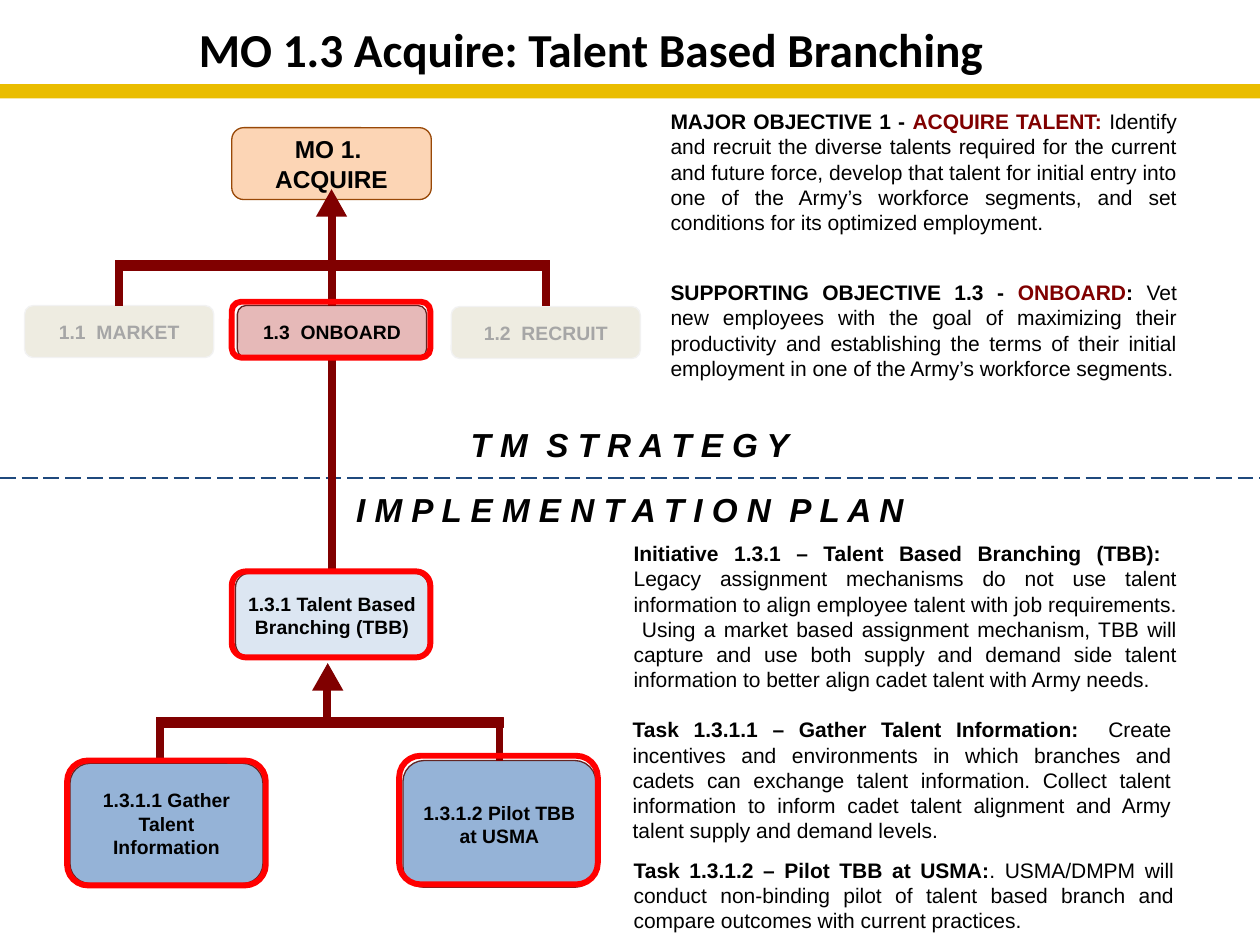
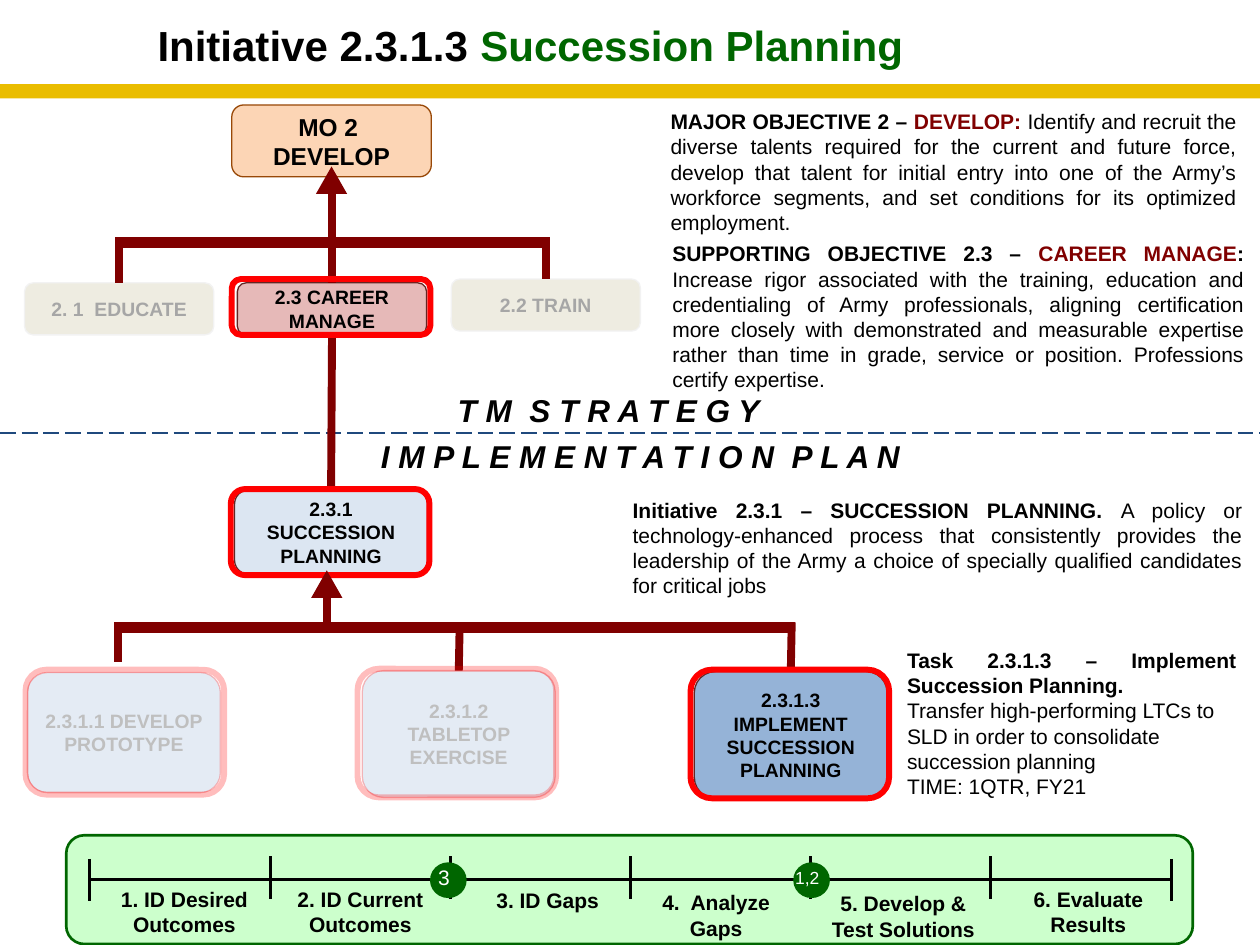
from dataclasses import dataclass
from typing import NamedTuple, Optional

import pptx
import pptx.dml.color
import pptx.enum.dml
import pptx.enum.shapes
import pptx.enum.text
import pptx.oxml.ns
import pptx.util
from lxml import etree

Inches = pptx.util.Inches
Pt = pptx.util.Pt
SHAPE = pptx.enum.shapes.MSO_SHAPE
ALIGN = pptx.enum.text.PP_ALIGN
ANCHOR = pptx.enum.text.MSO_ANCHOR
qn = pptx.oxml.ns.qn


@dataclass(frozen=True)
class Theme:
    font: str = "Arial"
    title_font: str = "Calibri"
    black: str = "000000"
    white: str = "FFFFFF"
    maroon: str = "800000"
    green: str = "006600"
    mint: str = "CCFFCC"
    red: str = "FF0000"
    gold: str = "EABD00"
    navy: str = "1F497D"
    body: float = 16
    box: float = 14.7
    goal: float = 18.6
    small: float = 13.3


T = Theme()


class Rect(NamedTuple):
    x: float
    y: float
    w: float
    h: float


class Run(NamedTuple):
    text: str
    bold: bool = True
    color: str = T.black
    italic: bool = False


class Style(NamedTuple):
    fill: Optional[str]
    line: str
    weight: float = 1
    color: str = T.black
    size: float = T.box
    alpha: int = 100
    inset: float = 0.1


class Node(NamedTuple):
    at: Rect
    text: str
    style: Style
    frame: Rect
    drop: float
    end: Optional[float] = None


class Note(NamedTuple):
    at: Rect
    runs: list


GOAL = Style("FCD5B5", "984807", size=T.goal)
SIDE = Style("EEECE1", "F2F2F2", color="A6A6A6")
FOCUS = Style("E6B9B8", "632523")
INITIATIVE = Style("DCE6F2", "632523", inset=0.07)
TASK = Style("95B3D7", "632523")
FADED = Style("95B3D7", T.red, color="BFBFBF", alpha=25)
FRAME = Style(None, T.red, 4.5)
FADED_FRAME = Style(None, T.red, 4.5, alpha=25)
BAR = Style(T.maroon, T.maroon, 0.5)
TIP = Style(T.maroon, T.maroon, 0)
BAND = Style(T.gold, T.gold, 0)
PANEL = Style(T.mint, T.green, 2)
DOT = Style(T.green, T.green, 2)


def rgb(value: str):
    return pptx.dml.color.RGBColor.from_string(value)


def fade(fill, alpha: int) -> None:
    if alpha < 100:
        for clr in fill._xPr.iter(qn("a:srgbClr")):
            if clr.find(qn("a:alpha")) is None:
                etree.SubElement(clr, qn("a:alpha")).set("val", str(alpha * 1000))


def write(p, runs: list, size: float, font: str = T.font, align=ALIGN.CENTER) -> None:
    p.alignment = align
    for run in runs:
        r = p.add_run()
        r.text = run.text
        fmt = {"name": font, "size": Pt(size), "bold": run.bold, "italic": run.italic}
        for key, value in fmt.items():
            setattr(r.font, key, value)
        r.font.color.rgb = rgb(run.color)


def shape(s, at: Rect, style: Style, kind=SHAPE.ROUNDED_RECTANGLE, text: str = ""):
    sp = s.shapes.add_shape(kind, *map(Inches, at))
    sp.shadow.inherit = False
    if style.fill:
        sp.fill.solid()
        sp.fill.fore_color.rgb = rgb(style.fill)
        fade(sp.fill, style.alpha)
    else:
        sp.fill.background()
    if style.weight:
        sp.line.width = Pt(style.weight)
        sp.line.color.rgb = rgb(style.line)
        fade(sp.line.fill, style.alpha)
    else:
        sp.line.fill.background()
    if text:
        tf = sp.text_frame
        fmt = {"word_wrap": True, "vertical_anchor": ANCHOR.MIDDLE,
               "margin_left": Inches(style.inset), "margin_right": Inches(style.inset)}
        for key, value in fmt.items():
            setattr(tf, key, value)
        write(tf.paragraphs[0], [Run(text, color=style.color)], style.size)
    return sp


def line(s, x1: float, y1: float, x2: float, y2: float, color: str = T.maroon, weight: float = 6):
    cn = s.shapes.add_connector(pptx.enum.shapes.MSO_CONNECTOR.STRAIGHT,
                                *map(Inches, (x1, y1, x2, y2)))
    cn.line.color.rgb = rgb(color)
    cn.line.width = Pt(weight)
    etree.SubElement(cn._element.spPr, qn("a:effectLst"))
    return cn


def textbox(s, at: Rect, paragraphs: list, size: float = T.body, font: str = T.font,
            aligns: tuple = (ALIGN.CENTER,), wrap: bool = True, anchor=ANCHOR.TOP) -> None:
    tf = s.shapes.add_textbox(*map(Inches, at)).text_frame
    for key, value in {"word_wrap": wrap, "vertical_anchor": anchor}.items():
        setattr(tf, key, value)
    for i, runs in enumerate(paragraphs):
        p = tf.add_paragraph() if i else tf.paragraphs[0]
        write(p, runs, size, font, aligns[min(i, len(aligns) - 1)])


def notes(s, items: list) -> None:
    for note in items:
        textbox(s, note.at, [note.runs], aligns=(ALIGN.JUSTIFY,), anchor=ANCHOR.MIDDLE)


def base(prs, title: list, at: Rect, size: float, font: str, divider: float,
         strategy: Rect, plan: Rect, heading: float):
    s = prs.slides.add_slide(prs.slide_layouts[6])
    shape(s, Rect(0, 0.89, 13.32, 0.15), BAND, SHAPE.RECTANGLE)
    dashes = line(s, 0, divider, 13.32, divider, T.navy, 1.5)
    dashes.line.dash_style = pptx.enum.dml.MSO_LINE.LONG_DASH
    textbox(s, at, [title], size, font, wrap=False)
    for place, text in ((strategy, "T M  S T R A T E G Y"),
                        (plan, "I M P L E M E N T A T I O N  P L A N")):
        textbox(s, place, [[Run(text, italic=True)]], heading, wrap=False)
    return s


def tree(s, top: float, goal: str, left: str, focus: str, right: str, right_y: float,
         initiative: str, place: Rect, frame: Rect) -> None:
    row = top + 1.88
    shape(s, Rect(2.45, top, 2.11, 0.76), GOAL, text=goal)
    shape(s, Rect(1.22, top + 1.4, 4.55, 0.11), BAR, SHAPE.RECTANGLE)
    centre = shape(s, Rect(2.51, row, 2, 0.55), FOCUS, text=focus)
    tops = [(0.26, row, left), (4.77, right_y, right)]
    for x, y, text in tops:
        side = shape(s, Rect(x, y, 2, 0.55), SIDE, text=text)
        line(s, x + 1, top + 1.4, x + 1, y).end_connect(side, 0)
    line(s, 3.51, top + 0.81, 3.51, row).end_connect(centre, 0)
    child = shape(s, place, INITIATIVE, text=initiative)
    spine = line(s, 3.51, row + 0.55, 3.51, place.y)
    spine.begin_connect(centre, 2)
    spine.end_connect(child, 0)
    shape(s, Rect(2.45, row - 0.04, 2.1, 0.59), FRAME)
    shape(s, frame, FRAME)
    shape(s, Rect(3.34, top + 0.65, 0.33, 0.29), TIP, SHAPE.ISOSCELES_TRIANGLE)


def branch(s, bar: Rect, tip: Rect, nodes: list) -> None:
    shape(s, bar, BAR, SHAPE.RECTANGLE)
    line(s, 3.46, tip.y + 0.28, 3.46, bar.y + 0.1)
    shape(s, tip, TIP, SHAPE.ISOSCELES_TRIANGLE)
    for node in nodes:
        sp = shape(s, node.at, node.style, text=node.text)
        cn = line(s, node.drop, bar.y, node.drop, node.end or node.at.y)
        if abs(node.drop - node.at.x - node.at.w / 2) < 0.05:
            cn.end_connect(sp, 0)
        shape(s, node.frame, FADED_FRAME if node.style is FADED else FRAME)


def timeline(s) -> None:
    shape(s, Rect(0.7, 8.83, 11.91, 1.15), PANEL)
    line(s, 0.94, 9.3, 12.38, 9.3, T.black, 2.25)
    step = (12.38 - 0.95) / 6
    for i in range(7):
        x = 0.95 + i * step
        y = 9.08 if i in (0, 6) else 9.05
        line(s, x, y, x, y + 0.45, T.black, 2.25)
    labels = [
        (1.12, 9.32, 1.66, ["1. ID Desired Outcomes"]),
        (2.98, 9.32, 1.66, ["2. ID Current Outcomes"]),
        (4.96, 9.33, 1.66, ["3. ID Gaps"]),
        (6.62, 9.36, 1.9, ["4.  Analyze Gaps"]),
        (8.6, 9.37, 1.9, ["5. Develop & Test Solutions"]),
        (10.46, 9.32, 2.09, ["6. Evaluate", "Results"]),
    ]
    for x, y, w, lines in labels:
        textbox(s, Rect(x, y, w, 0.6), [[Run(text)] for text in lines])
    for x, text, size in ((4.56, "3", T.body), (8.4, "1,2", T.small)):
        tf = shape(s, Rect(x, 9.13, 0.36, 0.35), DOT, SHAPE.OVAL).text_frame
        fmt = {"word_wrap": False, "vertical_anchor": ANCHOR.MIDDLE, "margin_left": 0,
               "margin_top": 0, "margin_right": Inches(0.09), "margin_bottom": Inches(0.06)}
        for key, value in fmt.items():
            setattr(tf, key, value)
        write(tf.paragraphs[0], [Run(text, False, T.white)], size)


def acquire(prs) -> None:
    s = base(prs, [Run("MO 1.3 Acquire: Talent Based Branching")], Rect(1.9, 0.16, 8.7, 0.71),
             36, T.title_font, 5.05, Rect(4.86, 4.44, 3.6, 0.53), Rect(3.64, 5.12, 6.04, 0.53), 25.3)
    tree(s, 1.35, "MO 1.  ACQUIRE", "1.1  MARKET", "1.3  ONBOARD", "1.2  RECRUIT", 3.24,
         "1.3.1 Talent Based Branching (TBB)", Rect(2.49, 6.06, 2.04, 0.89),
         Rect(2.45, 6.04, 2.1, 0.91))
    branch(s, Rect(1.66, 7.58, 3.66, 0.11), Rect(3.3, 7.01, 0.33, 0.29), [
        Node(Rect(0.74, 8.07, 2.04, 1.27), "1.3.1.1 Gather Talent Information", TASK,
             Rect(0.71, 8.04, 2.1, 1.32), 1.69),
        Node(Rect(4.26, 8.04, 2.04, 1.34), "1.3.1.2 Pilot TBB at USMA", TASK,
             Rect(4.22, 7.99, 2.1, 1.36), 5.28),
    ])
    notes(s, [
        Note(Rect(6.99, 1.09, 5.55, 1.45), [
            Run("MAJOR OBJECTIVE 1 - "), Run("ACQUIRE TALENT: ", color=T.maroon),
            Run("Identify and recruit the diverse talents required for the current and future force, develop that talent for initial entry into one of the Army’s workforce segments, and set conditions for its optimized employment.", False)]),
        Note(Rect(6.99, 2.9, 5.55, 1.18), [
            Run("SUPPORTING OBJECTIVE 1.3 - "), Run("ONBOARD", color=T.maroon), Run(": "),
            Run("Vet new employees with the goal of maximizing their productivity and establishing the terms of their initial employment in one of the Army’s workforce segments.", False)]),
        Note(Rect(6.6, 5.66, 5.94, 1.71), [
            Run("Initiative 1.3.1 – Talent Based Branching (TBB):  "),
            Run("Legacy assignment mechanisms do not use talent information to align employee talent with job requirements.  Using a market based assignment mechanism, TBB will capture and use both supply and demand side talent information to better align cadet talent with Army needs.", False)]),
        Note(Rect(6.59, 7.52, 5.89, 1.45), [
            Run("Task 1.3.1.1 – Gather Talent Information:  "),
            Run("Create incentives and environments in which branches and cadets can exchange talent information. Collect talent information to inform cadet talent alignment and Army talent supply and demand levels.", False)]),
        Note(Rect(6.6, 9.01, 5.91, 0.91), [
            Run("Task 1.3.1.2 – Pilot TBB at USMA:"),
            Run(". USMA/DMPM will conduct non-binding pilot of talent based branch and compare outcomes with current practices.", False)]),
    ])


def develop(prs) -> None:
    s = base(prs, [Run("Initiative 2.3.1.3 "), Run("Succession Planning", color=T.green)],
             Rect(1.54, 0.16, 8.14, 0.64), 32, T.font, 4.58,
             Rect(4.73, 4.08, 3.41, 0.5), Rect(3.91, 4.57, 5.72, 0.5), 24)
    tree(s, 1.11, "MO 2  DEVELOP", "2. 1  EDUCATE", "2.3 CAREER MANAGE", "2.2 TRAIN", 2.95,
         "2.3.1 SUCCESSION PLANNING", Rect(2.48, 5.18, 2.04, 0.89), Rect(2.44, 5.17, 2.1, 0.91))
    branch(s, Rect(1.21, 6.58, 7.19, 0.11), Rect(3.29, 6.03, 0.33, 0.29), [
        Node(Rect(0.29, 7.11, 2.04, 1.27), "2.3.1.1 DEVELOP PROTOTYPE", FADED,
             Rect(0.27, 7.08, 2.1, 1.32), 1.25, 7),
        Node(Rect(3.83, 7.09, 2.04, 1.34), "2.3.1.2 TABLETOP EXERCISE", FADED,
             Rect(3.78, 7.07, 2.1, 1.36), 4.86),
        Node(Rect(7.34, 7.1, 2.04, 1.34), "2.3.1.3 IMPLEMENT SUCCESSION PLANNING", TASK,
             Rect(7.3, 7.08, 2.1, 1.36), 8.37),
    ])
    notes(s, [
        Note(Rect(6.99, 1.09, 6.18, 1.45), [
            Run("MAJOR OBJECTIVE 2 – "), Run("DEVELOP: ", color=T.maroon),
            Run("Identify and recruit the diverse talents required for the current and future force, develop that talent for initial entry into one of the Army’s workforce segments, and set conditions for its optimized employment.", False)]),
        Note(Rect(7.01, 2.49, 6.24, 1.71), [
            Run("SUPPORTING OBJECTIVE 2.3 – "), Run("CAREER MANAGE", color=T.maroon), Run(": "),
            Run("Increase rigor associated with the training, education and credentialing of Army professionals, aligning certification more closely with demonstrated and measurable expertise rather than time in grade, service or position. Professions certify expertise.", False)]),
        Note(Rect(6.59, 5.2, 6.64, 1.18), [
            Run("Initiative 2.3.1 – SUCCESSION PLANNING. "),
            Run("A policy or technology-enhanced process that consistently provides the leadership of the Army a choice of specially qualified candidates for critical jobs", False)]),
    ])
    textbox(s, Rect(9.49, 6.79, 3.68, 1.71), [
        [Run("Task 2.3.1.3 – Implement Succession Planning.")],
        [Run("Transfer high-performing LTCs to SLD in order to consolidate succession planning", False)],
        [Run("TIME: 1QTR, FY21", False)],
    ], aligns=(ALIGN.JUSTIFY, ALIGN.LEFT), anchor=ANCHOR.MIDDLE)
    timeline(s)


def main() -> None:
    prs = pptx.Presentation()
    prs.slide_width, prs.slide_height = Inches(13.32), Inches(9.99)
    acquire(prs)
    develop(prs)
    prs.save("out.pptx")


if __name__ == "__main__":
    main()
